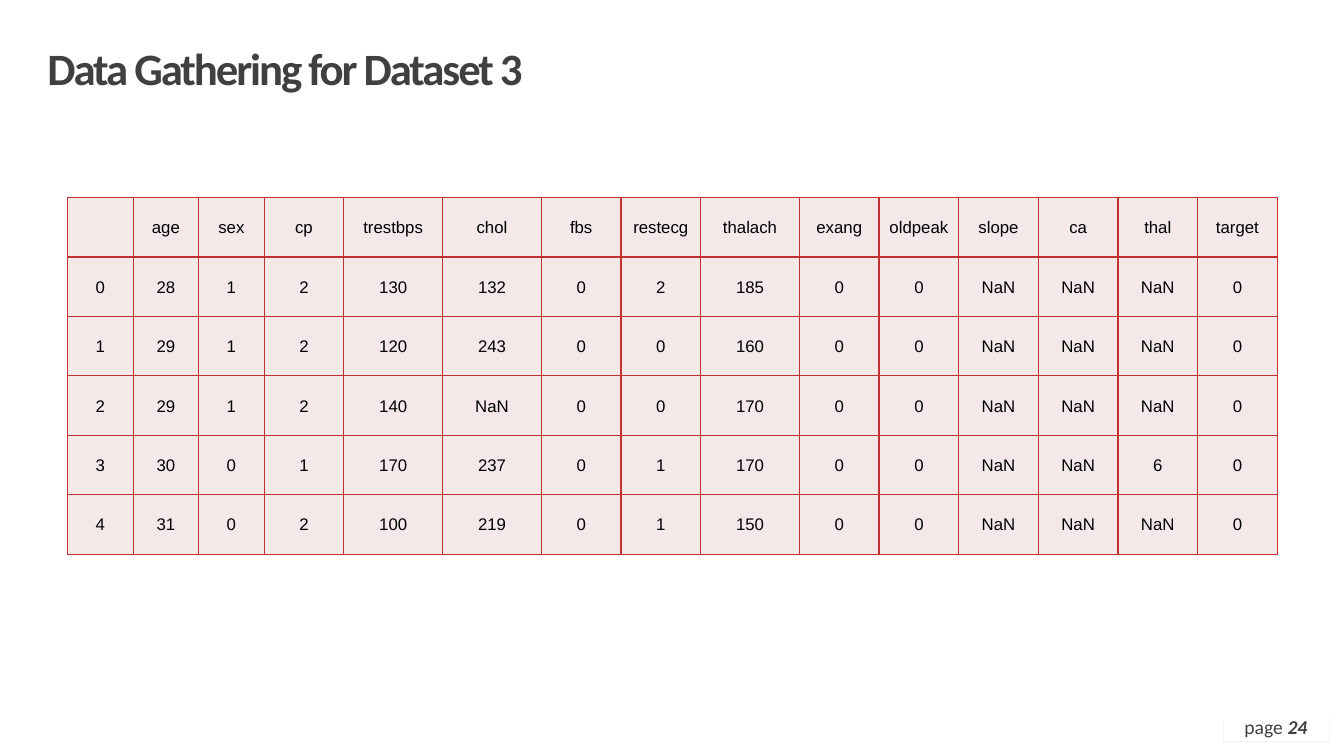
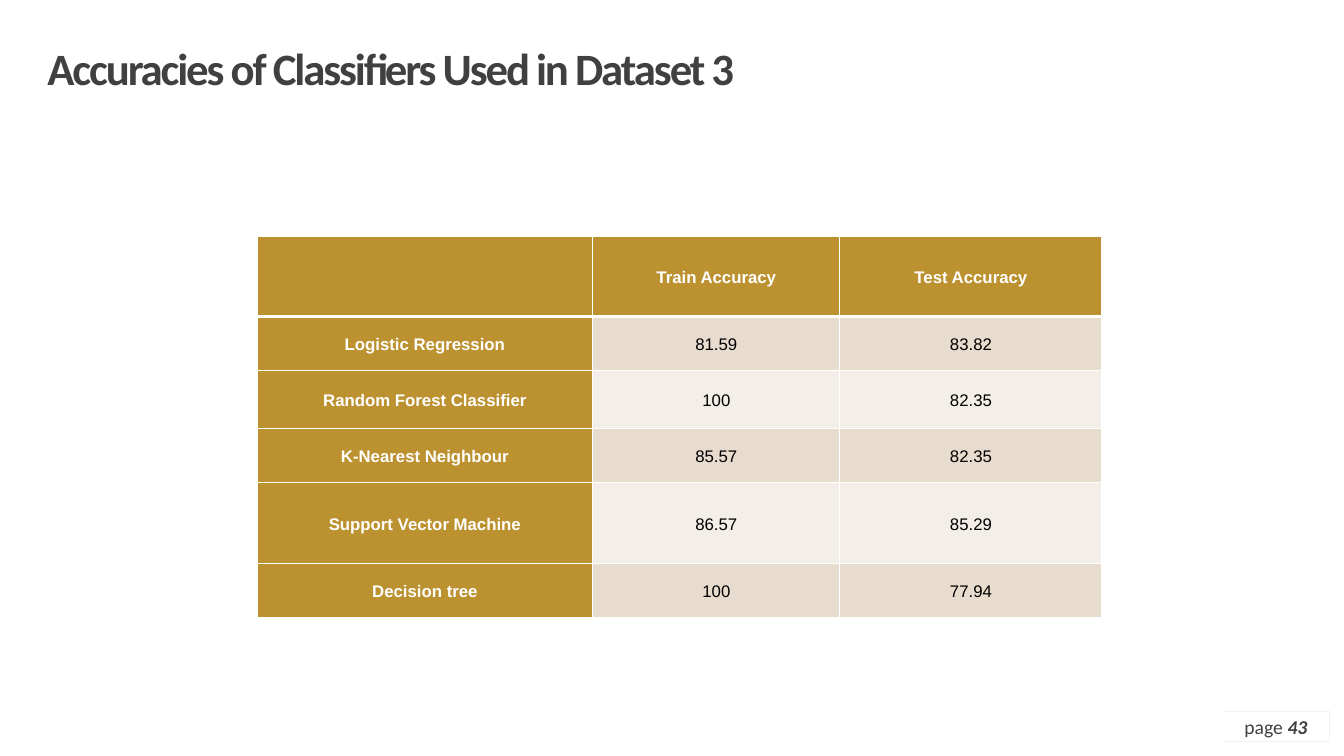
from dataclasses import dataclass
from lxml.etree import SubElement
from pptx import Presentation
from pptx.dml.color import RGBColor
from pptx.enum.shapes import MSO_SHAPE
from pptx.enum.text import MSO_ANCHOR, MSO_AUTO_SIZE, PP_ALIGN
from pptx.oxml import parse_xml
from pptx.oxml.ns import nsdecls, qn
from pptx.util import Inches, Pt


@dataclass(frozen=True)
class Theme:
    back: str = "F2F2F2"
    white: str = "FFFFFF"
    black: str = "000000"
    ink: str = "404040"
    red: str = "C13131"
    pink: str = "F4E8E8"
    gold: str = "BC9230"
    sand: str = "E7DCCD"
    cream: str = "F3EEE8"
    head_font: str = "Calibri"
    cell_font: str = "Arial"
    title_size: int = 32
    page_size: int = 14
    cell_size: int = 12


T = Theme()
WIDTH, HEIGHT, EDGE, SIDE = 13.33, 7.5, 0.15, 1.35
TITLE_BOX = (0.47, 0.47, 11.09, 0.47)
PAGE_BOX = (12.13, 7.06, 1.05, 0.29)


def rgb(color):
    return RGBColor.from_string(color)


def inches(box):
    return [Inches(v) for v in box]


def add_run(p, text, font, size, color, bold=False, italic=False):
    r = p.add_run()
    r.text = text
    r.font.name = font
    r.font.size = Pt(size)
    r.font.color.rgb = rgb(color)
    r.font.bold = bold
    r.font.italic = italic
    return r


def set_frame(tf):
    tf.margin_left = tf.margin_top = tf.margin_right = tf.margin_bottom = 0
    tf.vertical_anchor = MSO_ANCHOR.MIDDLE
    tf.auto_size = MSO_AUTO_SIZE.NONE
    tf.word_wrap = True


def add_rect(s, box, fill=None, line=None, weight=2):
    sp = s.shapes.add_shape(MSO_SHAPE.RECTANGLE, *inches(box))
    sp.shadow.inherit = False
    if fill:
        sp.fill.solid()
        sp.fill.fore_color.rgb = rgb(fill)
    else:
        sp.fill.background()
    if line:
        sp.line.color.rgb = rgb(line)
        sp.line.width = Pt(weight)
    else:
        sp.line.fill.background()
    return sp


def add_bands(s, layout):
    bands = (
        (0, 0, WIDTH, EDGE),
        (0, 0, EDGE, HEIGHT),
        (WIDTH - SIDE, 0, SIDE, HEIGHT),
        (0, HEIGHT - EDGE, WIDTH, EDGE),
    )
    for box in bands:
        layout.element.cSld.spTree.append(add_rect(s, box, T.white).element)


def add_page(s, box, number):
    sp = add_rect(s, box, line=T.back, weight=0.25)
    set_frame(sp.text_frame)
    p = sp.text_frame.paragraphs[0]
    p.alignment = PP_ALIGN.CENTER
    add_run(p, "page ", T.head_font, T.page_size, T.ink)
    add_run(p, number, T.head_font, T.page_size, T.ink, True, True)


def place_title(s, box, text):
    title = s.shapes.title
    title.left, title.top, title.width, title.height = inches(box)
    s.shapes.element.append(title.element)
    set_frame(title.text_frame)
    p = title.text_frame.paragraphs[0]
    p.alignment = PP_ALIGN.LEFT
    p.line_spacing = 0.9
    r = add_run(p, text, T.head_font, T.title_size, T.ink, True)
    r.font._element.set("spc", "-150")


def add_frame(prs, layout, title, number, cover, panel):
    s = prs.slides.add_slide(layout)
    add_page(s, PAGE_BOX, number)
    for box in (cover, panel):
        add_rect(s, box, T.white, T.white)
    place_title(s, TITLE_BOX, title)
    return s


def set_borders(cell, color, bottom=1):
    tcPr = cell._tc.get_or_add_tcPr()
    for i, side in enumerate("LRTB"):
        weight = bottom if side == "B" else 1
        ln = parse_xml(f'<a:ln{side} {nsdecls("a")} w="{Pt(weight)}"/>')
        fill = SubElement(ln, qn("a:solidFill"))
        SubElement(fill, qn("a:srgbClr")).set("val", color)
        tcPr.insert(i, ln)


def fill_cell(cell, text, margins, fill, color, bold=False):
    cell.fill.solid()
    cell.fill.fore_color.rgb = rgb(fill)
    cell.vertical_anchor = MSO_ANCHOR.MIDDLE
    (cell.margin_left, cell.margin_top,
     cell.margin_right, cell.margin_bottom) = inches(margins)
    p = cell.text_frame.paragraphs[0]
    p.alignment = PP_ALIGN.CENTER
    if text:
        add_run(p, text, T.cell_font, T.cell_size, color, bold)
    return p


def add_grid(s, left, top, widths, heights):
    box = (left, top, sum(widths), sum(heights))
    shape = s.shapes.add_table(len(heights), len(widths), *inches(box))
    table = shape.table
    table.first_row = table.horz_banding = False
    for col, width in zip(table.columns, widths):
        col.width = Inches(width)
    for row, height in zip(table.rows, heights):
        row.height = Inches(height)
    return table


def add_data_table(s, left, top, rows):
    narrow, medium, wide = 0.65, 0.79, 0.98
    widths = ([narrow] * 3 + [medium] + [wide] * 2 + [medium] * 2
              + [wide] + [medium] * 6)
    table = add_grid(s, left, top, widths, [0.59] * len(rows))
    for i, row in enumerate(rows):
        for j, text in enumerate(row):
            cell = table.cell(i, j)
            fill_cell(cell, text, (0.01, 0.01, 0.01, 0), T.pink, T.black)
            set_borders(cell, T.red)


def add_accuracy_table(s, left, top, rows):
    table = add_grid(s, left, top, (3.33, 2.45, 2.6),
                     (0.79, 0.54, 0.57, 0.54, 0.8, 0.54))
    for i, row in enumerate(rows):
        for j, text in enumerate(row):
            cell = table.cell(i, j)
            header = i == 0 or j == 0
            band = T.sand if i % 2 else T.cream
            p = fill_cell(cell, text, (0.07, 0, 0.07, 0),
                          T.gold if header else band,
                          T.white if header else T.black, header)
            p.line_spacing = 1.15
            p.space_after = Pt(10)
            set_borders(cell, T.white, 1 if i else 3)


PATIENTS = [
    ["", *"age sex cp trestbps chol fbs restecg thalach exang oldpeak "
          "slope ca thal target".split()],
    "0 28 1 2 130 132 0 2 185 0 0 NaN NaN NaN 0".split(),
    "1 29 1 2 120 243 0 0 160 0 0 NaN NaN NaN 0".split(),
    "2 29 1 2 140 NaN 0 0 170 0 0 NaN NaN NaN 0".split(),
    "3 30 0 1 170 237 0 1 170 0 0 NaN NaN 6 0".split(),
    "4 31 0 2 100 219 0 1 150 0 0 NaN NaN NaN 0".split(),
]

ACCURACIES = [
    ("", "Train Accuracy", "Test Accuracy"),
    ("Logistic Regression", "81.59", "83.82"),
    ("Random Forest Classifier", "100", "82.35"),
    ("K-Nearest Neighbour", "85.57", "82.35"),
    ("Support Vector Machine", "86.57", "85.29"),
    ("Decision tree", "100", "77.94"),
]


def gathering_slide(prs, layout):
    s = add_frame(prs, layout, "Data Gathering for Dataset 3", "24",
                  (11.98, 6.43, 1.2, 0.7), (0.13, 0.12, 11.99, 7.23))
    add_data_table(s, 0.67, 1.96, PATIENTS)
    return s


def accuracy_slide(prs, layout):
    s = add_frame(prs, layout, "Accuracies of Classifiers Used in Dataset 3",
                  "43", (12, 6.41, 1.2, 0.55), (0.13, 0.12, 12, 7.23))
    add_accuracy_table(s, 2.55, 2.35, ACCURACIES)


def main():
    prs = Presentation()
    prs.slide_width, prs.slide_height = Inches(WIDTH), Inches(HEIGHT)
    back = prs.slide_master.background.fill
    back.solid()
    back.fore_color.rgb = rgb(T.back)
    layout = prs.slide_layouts.get_by_name("Title Only")
    s = gathering_slide(prs, layout)
    add_bands(s, layout)
    accuracy_slide(prs, layout)
    prs.save("out.pptx")


if __name__ == "__main__":
    main()
